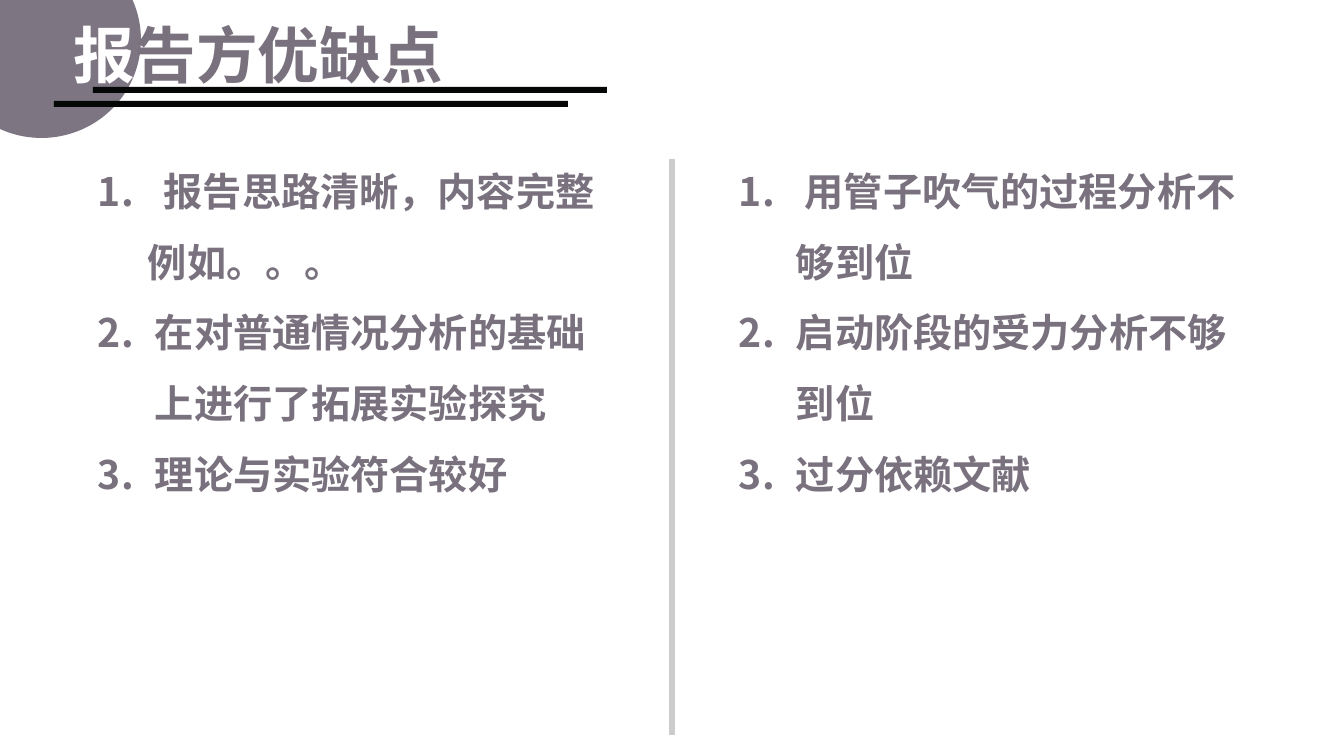
from dataclasses import dataclass

from lxml import etree
from pptx import Presentation
from pptx.dml.color import RGBColor
from pptx.enum import shapes, text
from pptx.oxml.ns import qn
from pptx.util import Pt

EMU_PER_PX = 914400 / 100.8


def px(n):
    return round(n * EMU_PER_PX)


@dataclass(frozen=True)
class Theme:
    font: str = "Noto Sans CJK SC"
    ink: str = "79717E"
    disc: str = "7D7582"
    bar: str = "050707"
    divider: str = "CCCCCC"
    white: str = "FFFFFF"
    title_size: int = 44
    body_size: int = 28


class Deck:
    def __init__(self, theme, width, height):
        self.theme = theme
        self.prs = Presentation()
        self.prs.slide_width, self.prs.slide_height = px(width), px(height)
        self.s = self.prs.slides.add_slide(self.prs.slide_layouts[5])

    def run(self, p, words, size, color):
        r = p.add_run()
        r.text = words
        r.font.size, r.font.bold, r.font.name = Pt(size), True, self.theme.font
        r.font.color.rgb = RGBColor.from_string(color)
        ea = etree.SubElement(r.font._element, qn("a:ea"))
        ea.set("typeface", self.theme.font)

    def shape(self, kind, box, color):
        sp = self.s.shapes.add_shape(kind, *map(px, box))
        sp.shadow.inherit = False
        sp.fill.solid()
        sp.fill.fore_color.rgb = RGBColor.from_string(color)
        sp.line.fill.background()

    def line(self, start, end, color, weight):
        sp = self.s.shapes.add_connector(
            shapes.MSO_CONNECTOR.STRAIGHT, *map(px, start + end))
        sp.line.color.rgb = RGBColor.from_string(color)
        sp.line.width = Pt(weight)
        etree.SubElement(sp._element.spPr, qn("a:effectLst"))

    def title(self, box, parts):
        sp = self.s.shapes.title
        self.s.shapes._spTree.append(sp._element)  # in front of the disc
        sp.left, sp.top, sp.width, sp.height = map(px, box)
        tf = sp.text_frame
        tf.word_wrap = False
        tf.auto_size = text.MSO_AUTO_SIZE.SHAPE_TO_FIT_TEXT
        tf.vertical_anchor = text.MSO_ANCHOR.TOP
        p = tf.paragraphs[0]
        p.alignment = text.PP_ALIGN.LEFT
        p.line_spacing = Pt(88)
        for words, color in parts:
            self.run(p, words, self.theme.title_size, color)

    def numbered_list(self, box, items):
        """Items are (level, words); only level 0 is numbered."""
        tf = self.s.shapes.add_textbox(*map(px, box)).text_frame
        tf.word_wrap = True
        tf.auto_size = text.MSO_AUTO_SIZE.SHAPE_TO_FIT_TEXT
        for i, (level, words) in enumerate(items):
            p = tf.add_paragraph() if i else tf.paragraphs[0]
            p.level, p.line_spacing = level, 1.5
            pPr = p._p.get_or_add_pPr()
            margin, indent = (50, 0) if level else (57, -57)
            pPr.set("marL", str(px(margin)))
            pPr.set("indent", str(px(indent)))
            if level == 0:
                bullet = etree.SubElement(pPr, qn("a:buAutoNum"))
                bullet.set("type", "arabicPeriod")
            self.run(p, words, self.theme.body_size, self.theme.ink)


theme = Theme()
deck = Deck(theme, 1344, 756)

# Heading: corner disc, two offset bars, title
deck.shape(shapes.MSO_SHAPE.OVAL, (-58, -59, 199, 197), theme.disc)
for left, top in ((93, 87), (54, 101)):
    deck.shape(shapes.MSO_SHAPE.RECTANGLE, (left, top, 514, 6), theme.bar)
deck.title((63, -37, 393, 118), [("报", theme.white), ("告方优缺点", theme.ink)])

# Strengths on the left, weaknesses on the right
strengths = [
    (0, " 报告思路清晰，内容完整"),
    (1, "例如。。。"),
    (0, "在对普通情况分析的基础上进行了拓展实验探究"),
    (0, "理论与实验符合较好"),
]
weaknesses = [
    (0, " 用管子吹气的过程分析不够到位"),
    (0, "启动阶段的受力分析不够到位"),
    (0, "过分依赖文献"),
]
for left, items in ((88, strengths), (729, weaknesses)):
    deck.numbered_list((left, 139, 543, 358), items)
deck.line((672, 159), (672, 735), theme.divider, 4.5)

deck.prs.save("out.pptx")
